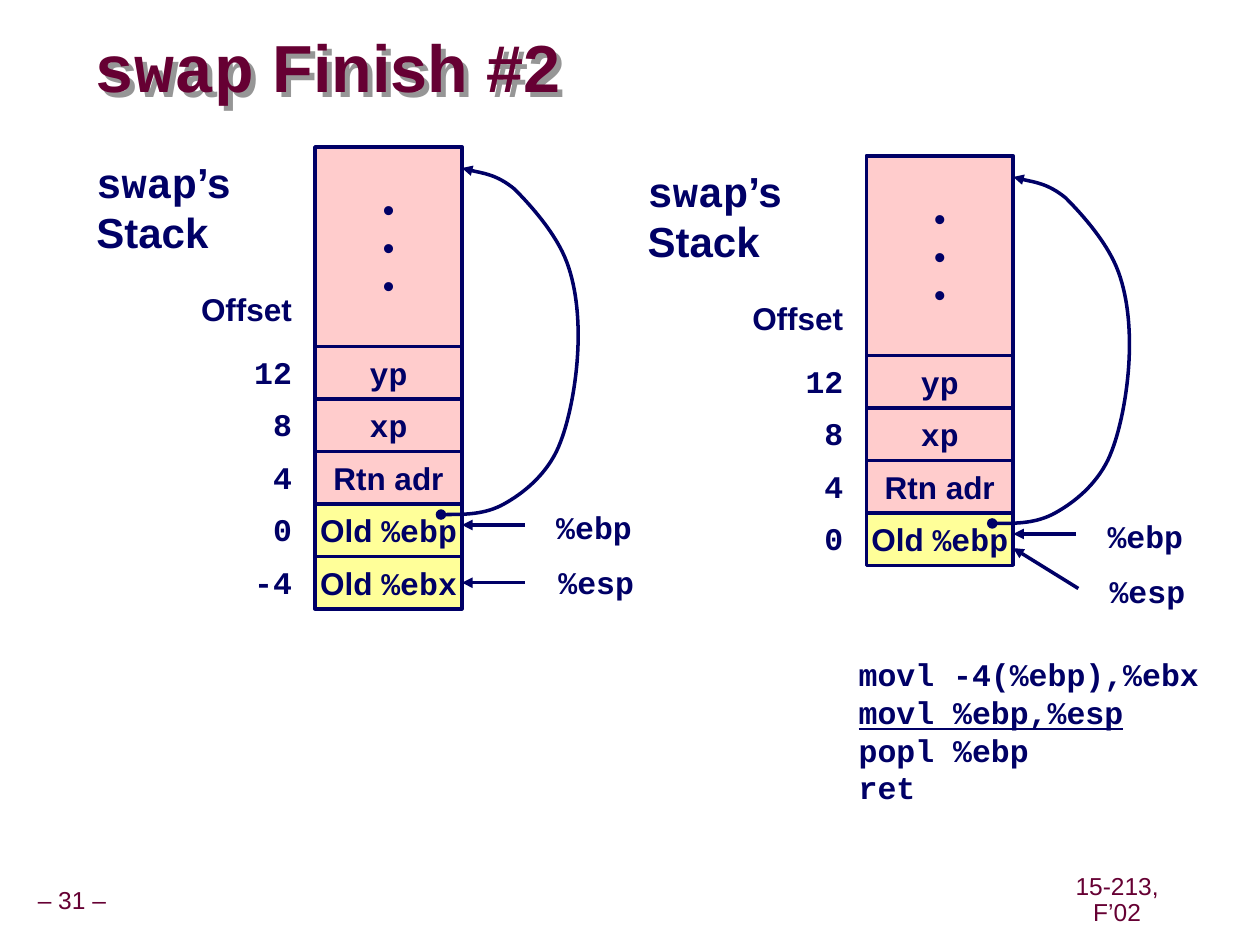
from itertools import chain
from lxml import etree
from pptx import Presentation
from pptx import util as u
from pptx.dml.color import RGBColor
from pptx.enum import shapes, text
from pptx.oxml.ns import qn

COLS, ROWS = 120, 90
UNIT = u.Inches(10) // COLS
HUES = {"ink": "000066", "wine": "660033", "pink": "FFCCCC", "gold": "FFFF99", "grey": "969696"}
FONTS = {"sans": "Arial", "mono": "Courier New"}
AL, ANC = text.PP_ALIGN, text.MSO_ANCHOR
PAD = {"margin_left": 1.2, "margin_right": 1.2, "margin_top": 0.6, "margin_bottom": 0.6}
BARE = dict.fromkeys(PAD, 0)
LEFT, TOP, WIDE, STEP, TALL = 30, 14, 14, 5, 19
EDGE = LEFT + WIDE
CURVE = [(42, 49), (44, 49), (46.2, 49), (48, 48), (49.8, 47), (51.8, 45.4), (53, 43),
         (54.1, 40.7), (54.8, 37), (55, 34), (55.2, 31), (55, 27.7), (54, 25),
         (53, 22.3), (50.6, 19.6), (49, 18), (47.3, 16.6), (44.9, 16.3), (44, 16)]
ROLES = [("12", [("yp", "mono")], "pink"), ("8", [("xp", "mono")], "pink"),
         ("4", [("Rtn adr", "sans")], "pink"),
         ("0", [("Old ", "sans"), ("%ebp", "mono")], "gold"),
         ("-4", [("Old ", "sans"), ("%ebx", "mono")], "gold")]


def grid(*nums):
    return [u.Emu(round(n * UNIT)) for n in nums]


def hue(name):
    return RGBColor.from_string(HUES[name])


def put(item, vals):
    for key, val in vals.items():
        setattr(item, key, val)


def write(shape, paras, size=18, tint="ink", bold=True, align=AL.LEFT, anchor=ANC.TOP,
          wrap=False, gap=1.0, pad=PAD):
    frame = shape.text_frame
    put(frame, {"word_wrap": wrap, "vertical_anchor": anchor})
    put(frame, {key: grid(val)[0] for key, val in pad.items()})
    for i, runs in enumerate(paras):
        para = frame.add_paragraph() if i else frame.paragraphs[0]
        put(para, {"alignment": align, "line_spacing": gap})
        for words, face, *under in runs:
            run = para.add_run()
            run.text = words
            put(run.font, {"name": FONTS[face], "size": u.Pt(size), "bold": bold,
                           "underline": bool(under)})
            run.font.color.rgb = hue(tint)


def label(slide, box, paras, **look):
    shape = slide.shapes.add_textbox(*grid(*box))
    write(shape, paras, **look)
    return shape


def cell(slide, box, paras, fill):
    rect = slide.shapes.add_shape(shapes.MSO_SHAPE.RECTANGLE, *grid(*box))
    rect.shadow.inherit = False
    rect.fill.solid()
    rect.fill.fore_color.rgb = hue(fill)
    ink(rect)
    write(rect, paras, align=AL.CENTER, anchor=ANC.MIDDLE)
    return rect


def ink(shape, **ends):
    shape.line.color.rgb = hue("ink")
    shape.line.width = u.Pt(2)
    for end, kind in ends.items():
        etree.SubElement(shape.line._get_or_add_ln(), qn(f"a:{end}End"), type=kind)


def arrow(slide, start, stop, rect=None):
    line = slide.shapes.add_connector(shapes.MSO_CONNECTOR.STRAIGHT, *grid(*start, *stop))
    if rect is not None:
        line.end_connect(rect, 3)
    ink(line, tail="triangle")
    etree.SubElement(line._element.spPr, qn("a:effectLst"))


def curve(slide, spots):
    first, *rest = [grid(*spot) for spot in spots]
    pen = slide.shapes.build_freeform(*first)
    pen.add_line_segments(rest, close=False)
    shape = pen.convert_to_shape()
    shape.shadow.inherit = False
    shape.fill.background()
    ink(shape, head="oval", tail="triangle")
    track = next(shape._element.iter(qn("a:path")))
    legs = track.findall(qn("a:lnTo"))
    for i in range(0, len(legs), 3):
        bend = etree.SubElement(track, qn("a:cubicBezTo"))
        for leg in legs[i:i + 3]:
            bend.append(leg[0])
            track.remove(leg)


def shade(shape):
    glow = etree.SubElement(shape._element.spPr, qn("a:effectLst"))
    cast = etree.SubElement(glow, qn("a:outerShdw"), dist="50800", dir="2700000", algn="ctr", rotWithShape="0")
    etree.SubElement(cast, qn("a:srgbClr"), val=HUES["grey"])


def stack(slide, dx, dy, roles, tip):
    def at(x, y, *size):
        return (x + dx, y + dy, *size)

    label(slide, at(8, 14.3, 15.4, 10.8), [[("swap", "mono"), ("’s", "sans")], [("Stack", "sans")]], size=24)
    cell(slide, at(LEFT, TOP, WIDE, TALL), [[("•", "sans")]] * 3, "pink")
    marks = [(27, "Offset", "sans")]
    for i, (mark, runs, fill) in enumerate(roles):
        y = TOP + TALL + i * STEP
        last = cell(slide, at(LEFT, y, WIDE, STEP), [runs], fill)
        marks.append((y, mark, "mono"))
    for y, mark, face in marks:
        label(slide, at(17, y, 12, 4.8), [[(mark, face)]], align=AL.RIGHT)
    arrow(slide, at(50, 50), at(EDGE, 50))
    if tip is None:
        mid = y + STEP / 2
        arrow(slide, at(50, mid), at(EDGE, mid), last)
    else:
        arrow(slide, at(50.2, 55.2), at(EDGE, tip))
    for x, y, name in [(51.8, 47.8, "%ebp"), (52, 53, "%esp")]:
        label(slide, at(x, y, 9.6, 4.8), [[(name, "mono")]])
    curve(slide, [at(*spot) for spot in CURVE])


def main():
    deck = Presentation()
    put(deck, {"slide_width": UNIT * COLS, "slide_height": UNIT * ROWS})
    slide = deck.slides.add_slide(deck.slide_layouts[6])
    for box, words in [((0, 84, 13.7, 3.7), "– 31 –"), ((99.2, 83.9, 14.4, 3.7), "15-213, F’02")]:
        label(slide, box, [[(words, "sans")]], size=14, tint="wine", bold=False,
              align=AL.CENTER, anchor=ANC.MIDDLE, gap=0.9)
    shade(label(slide, (9, 3, 72.8, 7.6), [[("swap", "mono"), (" Finish #2", "sans")]], size=38,
                tint="wine", anchor=ANC.MIDDLE, wrap=True, gap=0.87, pad=BARE))
    code = [[("movl -4(%ebp),%ebx", "mono")], [("movl %ebp,%esp", "mono", "under")],
            [("popl %ebp", "mono")], [("ret", "mono")]]
    label(slide, (80.6, 61.8, 35, 15.6), code)
    stack(slide, 0, 0, ROLES, None)
    stack(slide, 52.5, 0.85, ROLES[:-1], 51.35)
    deck.save("out.pptx")


if __name__ == "__main__":
    main()
